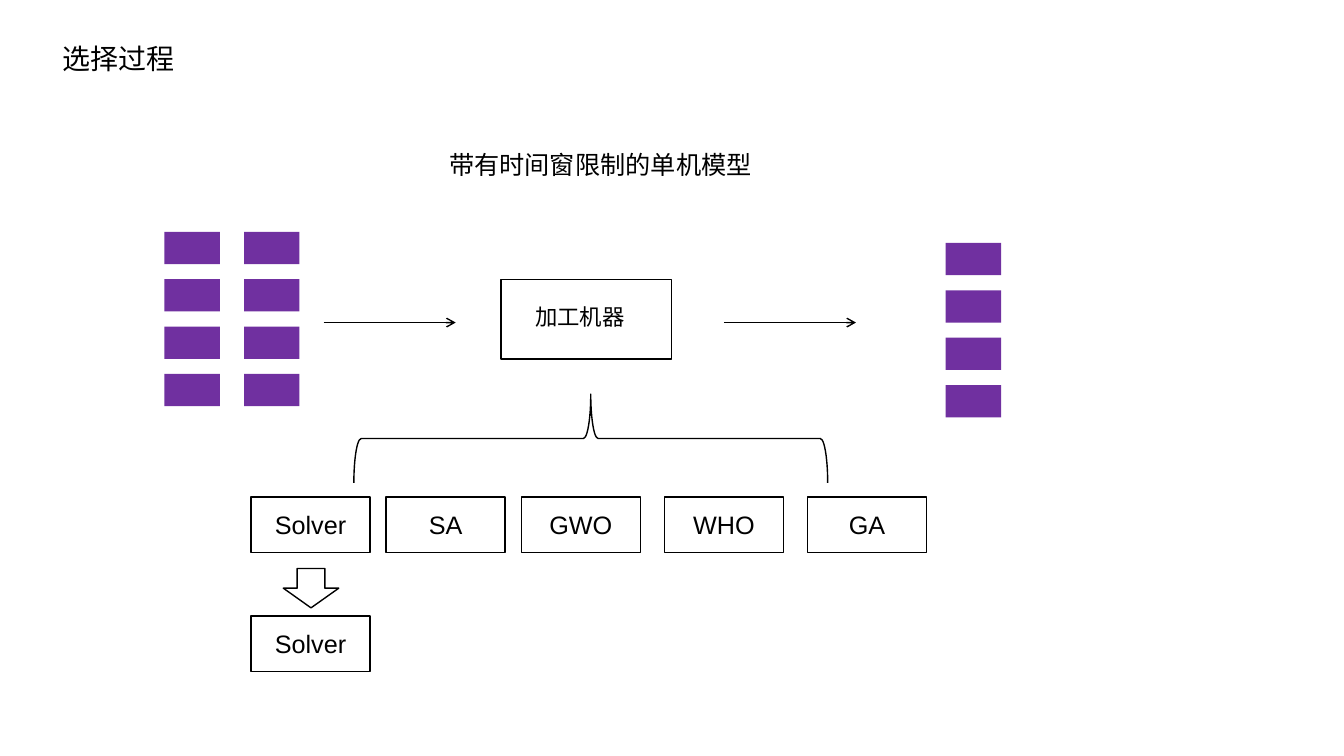
import pptx
import pptx.dml.color
import pptx.enum.shapes
import pptx.enum.text
import pptx.oxml.ns
import pptx.oxml.xmlchemy
import pptx.util

COLOURS = {"ink": "000000", "job": "7030A0"}
LATIN_FONT = "Arial"
CHINESE_FONT = "Noto Sans CJK SC"
SHAPES = pptx.enum.shapes.MSO_SHAPE
ALIGN = pptx.enum.text.PP_ALIGN
ANCHOR = pptx.enum.text.MSO_ANCHOR


class SlideBuilder:
    def __init__(self, page):
        self.page = page
        self.line_width = pptx.util.Pt(1)

    def colour(self, name):
        return pptx.dml.color.RGBColor.from_string(COLOURS[name])

    def inches(self, *lengths):
        return [pptx.util.Inches(length) for length in lengths]

    def set_text(self, frame, text, size, font, align):
        frame.text = text
        para = frame.paragraphs[0]
        para.alignment = align
        span = para.runs[0]
        span.font.size = pptx.util.Pt(size)
        span.font.color.rgb = self.colour("ink")
        span.font.name = font
        latin = span.font._element.find(pptx.oxml.ns.qn("a:latin"))
        east_asian = pptx.oxml.xmlchemy.OxmlElement("a:ea")
        east_asian.set("typeface", font)
        latin.addnext(east_asian)

    def text(self, left, top, width, height, text, size, align=ALIGN.LEFT):
        box = self.page.shapes.add_textbox(*self.inches(left, top, width, height))
        box.text_frame.word_wrap = True
        self.set_text(box.text_frame, text, size, CHINESE_FONT, align)
        return box

    def shape(self, kind, left, top, width, height, fill=None):
        shape = self.page.shapes.add_shape(
            kind, *self.inches(left, top, width, height))
        shape.shadow.inherit = False
        if fill:
            shape.fill.solid()
            shape.fill.fore_color.rgb = self.colour(fill)
            shape.line.fill.background()
        else:
            shape.fill.background()
            shape.line.color.rgb = self.colour("ink")
            shape.line.width = self.line_width
        return shape

    def method_box(self, left, top, label):
        box = self.shape(SHAPES.RECTANGLE, left, top, 1.18, 0.55)
        box.text_frame.vertical_anchor = ANCHOR.MIDDLE
        self.set_text(box.text_frame, label, 18, LATIN_FONT, ALIGN.CENTER)

    def job_column(self, left, top):
        for row in range(4):
            self.shape(SHAPES.RECTANGLE, left, top + row * 0.47, 0.55, 0.32, "job")

    def arrow(self, left, top, length):
        arrow = self.page.shapes.add_connector(
            pptx.enum.shapes.MSO_CONNECTOR.STRAIGHT,
            *self.inches(left, top, left + length, top))
        arrow.line.color.rgb = self.colour("ink")
        arrow.line.width = self.line_width
        head = pptx.oxml.xmlchemy.OxmlElement("a:tailEnd")
        head.set("type", "arrow")
        arrow.line._get_or_add_ln().append(head)
        arrow._element.spPr.append(pptx.oxml.xmlchemy.OxmlElement("a:effectLst"))


def main():
    deck = pptx.Presentation()
    deck.slide_width = pptx.util.Inches(13.33)
    deck.slide_height = pptx.util.Inches(7.5)
    page = deck.slides.add_slide(deck.slide_layouts[6])
    builder = SlideBuilder(page)

    title = builder.text(0.52, 0.36, 2.03, 0.44, "选择过程", 20)
    title.text_frame.auto_size = pptx.enum.text.MSO_AUTO_SIZE.SHAPE_TO_FIT_TEXT
    builder.text(4.07, 1.43, 3.77, 0.53, "带有时间窗限制的单机模型", 18, ALIGN.CENTER)

    for left, top in ((1.63, 2.3), (2.42, 2.3), (9.38, 2.41)):
        builder.job_column(left, top)
    for left in (3.21, 7.18):
        builder.arrow(left, 3.2, 1.31)
    builder.shape(SHAPES.RECTANGLE, 4.97, 2.77, 1.69, 0.79)
    builder.text(5.21, 2.96, 1.21, 0.43, "加工机器", 16)

    brace = builder.shape(SHAPES.RIGHT_BRACE, 5.42, 2, 0.88, 4.7)
    brace.rotation = 270

    methods = {"Solver": 2.49, "SA": 3.83, "GWO": 5.17, "WHO": 6.59, "GA": 8.01}
    for label, left in methods.items():
        builder.method_box(left, 4.93, label)
    builder.shape(SHAPES.DOWN_ARROW, 2.81, 5.64, 0.55, 0.39)
    builder.method_box(methods["Solver"], 6.11, "Solver")

    deck.save("out.pptx")


if __name__ == "__main__":
    main()
